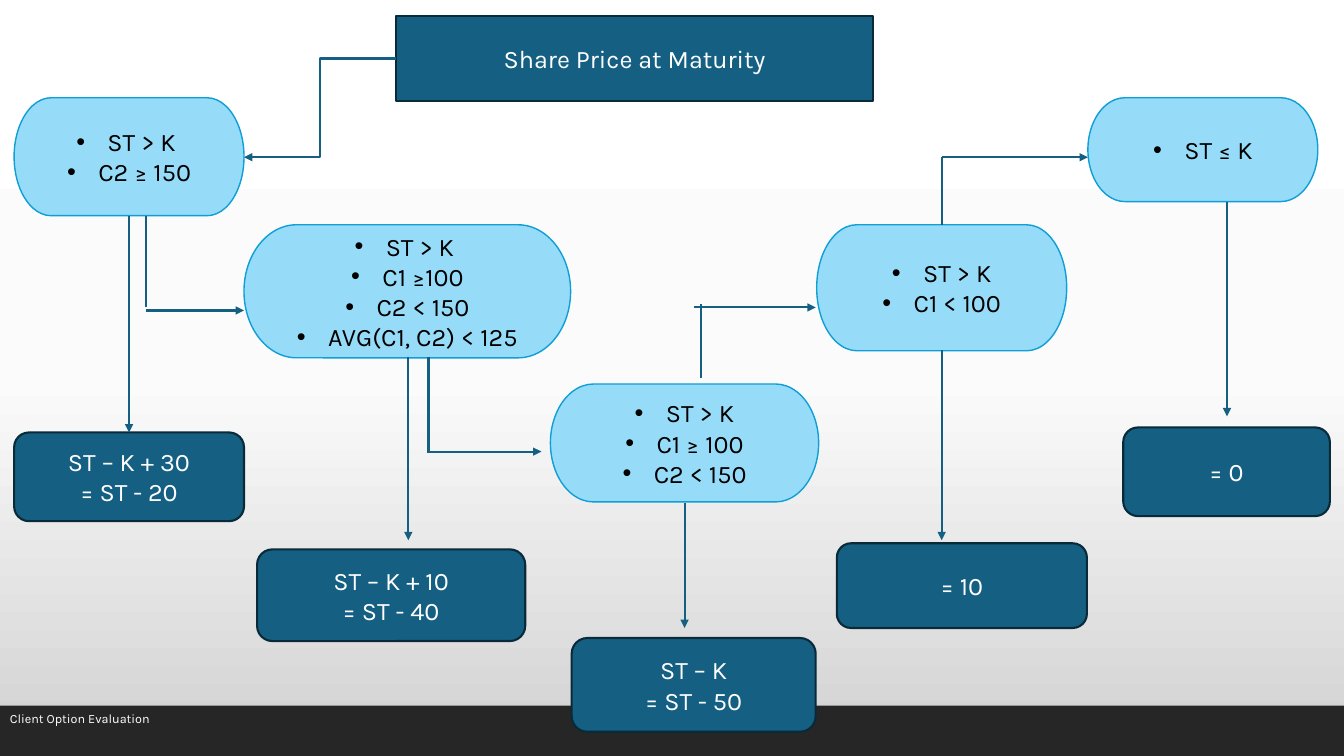
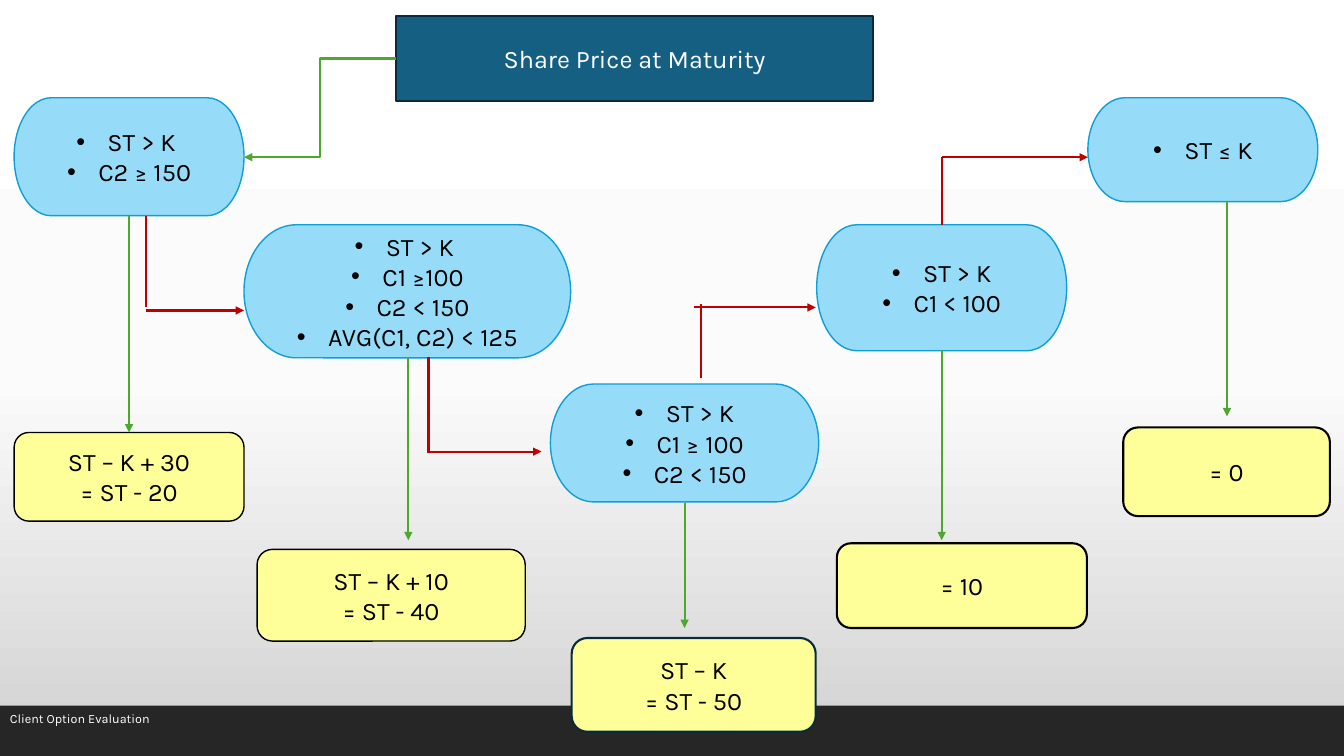
from copy import deepcopy
from dataclasses import dataclass

from lxml.etree import SubElement
from pptx import Presentation
from pptx.dml.color import RGBColor
from pptx.enum.shapes import MSO_CONNECTOR, MSO_SHAPE
from pptx.enum.text import MSO_ANCHOR, MSO_AUTO_SIZE, PP_ALIGN
from pptx.oxml.ns import qn
from pptx.util import Pt

EMU_PER_PX = 9144  # 100 px to the inch
SLIDE_W, SLIDE_H = 1333, 750
FONT = "Karla"

WHITE = RGBColor(0xFF, 0xFF, 0xFF)
OFF_WHITE = RGBColor(0xFB, 0xFB, 0xFB)
GREY = RGBColor(0xD1, 0xD1, 0xD1)
CHARCOAL = RGBColor(0x26, 0x26, 0x26)
BLACK = RGBColor(0x00, 0x00, 0x00)
TEAL = RGBColor(0x15, 0x60, 0x82)
NAVY = RGBColor(0x09, 0x2A, 0x39)
SKY = RGBColor(0x96, 0xDC, 0xF8)
BLUE = RGBColor(0x0F, 0x9E, 0xD5)
YELLOW = RGBColor(0xFF, 0xFF, 0x99)
GREEN = RGBColor(0x4E, 0xA7, 0x2E)
RED = RGBColor(0xC0, 0x00, 0x00)

ALTERNATE = MSO_SHAPE.FLOWCHART_ALTERNATE_PROCESS
ROUNDED = MSO_SHAPE.ROUNDED_RECTANGLE


@dataclass
class Palette:
    """Colours that differ between the two versions of the tree."""
    yes: RGBColor
    no: RGBColor
    payoff_fill: RGBColor
    payoff_text: RGBColor
    payoff_outlines: list


@dataclass
class Step:
    """One test of the tree, its payoff and the arrow between them."""
    conditions: list
    test_box: tuple
    payoff: list
    payoff_box: tuple
    arrow: tuple
    payoff_shape: MSO_SHAPE = ALTERNATE


def px(length):
    return length * EMU_PER_PX


class Deck:
    def __init__(self):
        self.prs = Presentation()
        self.prs.slide_width, self.prs.slide_height = px(SLIDE_W), px(SLIDE_H)
        self.slide = None
        self.set_background()

    def set_background(self):
        """Give the master a three-stop gradient from top to bottom."""
        master = self.prs.slide_master
        fill = master.background.fill
        fill.gradient()
        fill.gradient_angle = 270
        stops = master.element.find(".//" + qn("a:gsLst"))
        stops.insert(1, deepcopy(stops[0]))
        for stop, color, position in zip(
                fill.gradient_stops, (WHITE, OFF_WHITE, GREY), (0, 0.5, 1)):
            stop.color.rgb = color
            stop.position = position

    def new_slide(self, title, footer):
        self.slide = self.prs.slides.add_slide(self.prs.slide_layouts[5])
        self.footer_band(footer)
        self.title_box(title)

    def footer_band(self, text):
        band = self.shape(MSO_SHAPE.RECTANGLE, (0, 700, SLIDE_W, 50), CHARCOAL)
        self.set_text(band, [text], WHITE, 9, PP_ALIGN.LEFT, MSO_ANCHOR.TOP)

    def title_box(self, text):
        title = self.slide.shapes.title
        title.left, title.top, title.width, title.height = map(
            px, (393, 16, 473, 84))
        self.paint(title, TEAL, (NAVY, 1.5))
        self.set_text(title, [text], WHITE)

    def paint(self, shape, fill, outline=None):
        shape.fill.solid()
        shape.fill.fore_color.rgb = fill
        if outline:
            color, width = outline
            shape.line.color.rgb = color
            shape.line.width = Pt(width)
        else:
            shape.line.fill.background()

    def shape(self, kind, box, fill, outline=None):
        shape = self.slide.shapes.add_shape(kind, *map(px, box))
        shape.shadow.inherit = False
        self.paint(shape, fill, outline)
        return shape

    def set_text(self, shape, lines, color, size=18, align=PP_ALIGN.CENTER,
                 anchor=MSO_ANCHOR.MIDDLE, bullets=False):
        frame = shape.text_frame
        frame.text = "\n".join(lines)
        frame.word_wrap = True
        frame.auto_size = MSO_AUTO_SIZE.NONE
        frame.vertical_anchor = anchor
        for paragraph in frame.paragraphs:
            paragraph.alignment = align
            if bullets:
                self.bullet(paragraph)
            for run in paragraph.runs:
                run.font.name = FONT
                run.font.size = Pt(size)
                run.font.color.rgb = color

    def bullet(self, paragraph):
        props = paragraph._p.get_or_add_pPr()
        props.set("marL", str(px(31)))
        props.set("indent", str(-px(31)))
        SubElement(props, qn("a:buFont")).set("typeface", "Arial")
        SubElement(props, qn("a:buChar")).set("char", "•")

    def test(self, box, conditions):
        terminator = self.shape(
            MSO_SHAPE.FLOWCHART_TERMINATOR, box, SKY, (BLUE, 1))
        self.set_text(terminator, conditions, BLACK, bullets=True)

    def payoff(self, step, palette, outline):
        result = self.shape(
            step.payoff_shape, step.payoff_box, palette.payoff_fill, outline)
        self.set_text(result, step.payoff, palette.payoff_text)

    def line(self, points, color, arrow=True, kind=MSO_CONNECTOR.STRAIGHT):
        link = self.slide.shapes.add_connector(kind, *map(px, points))
        link.line.color.rgb = color
        link.line.width = Pt(1.5)
        if arrow:
            head = SubElement(link.line._get_or_add_ln(), qn("a:tailEnd"))
            head.set("type", "triangle")
        SubElement(link._element.spPr, qn("a:effectLst"))


# Content of the tree, from left to right
STEPS = [
    Step(["ST > K ", "C2 ≥ 150"], (14, 97, 228, 117),
         ["ST – K + 30", "= ST - 20"], (14, 429, 228, 88),
         (128, 214, 128, 429)),
    Step(["ST > K ", "C1 ≥100", "C2 < 150", "AVG(C1, C2) < 125"],
         (242, 223, 324, 132),
         ["ST – K + 10", "= ST - 40"], (255, 545, 266, 91),
         (405, 354, 405, 536)),
    Step(["ST > K", "C1 ≥ 100", "C2 < 150"], (546, 381, 266, 117),
         ["ST – K", "= ST - 50"], (567, 633, 242, 93),
         (679, 499, 679, 623)),
    Step(["ST > K", "C1 < 100"], (810, 223, 248, 125),
         ["= 10"], (830, 539, 248, 84),
         (934, 347, 934, 536), ROUNDED),
    Step(["ST ≤ K"], (1079, 97, 228, 103),
         ["= 0"], (1114, 424, 205, 88),
         (1217, 200, 1217, 413)),
]

# Each failed test leads on by a plain stem and then an arrow
NO_BRANCHES = [
    ((145, 214, 145, 305), (145, 308, 242, 308)),
    ((425, 354, 425, 449), (425, 448, 537, 448)),
    ((695, 375, 695, 302), (688, 305, 809, 305)),
    ((934, 223, 934, 156), (934, 156, 1079, 156)),
]

PALETTES = [
    Palette(TEAL, TEAL, TEAL, WHITE, [(NAVY, 1.5)] * 5),
    Palette(GREEN, RED, YELLOW, BLACK,
            [(BLACK, 1)] * 2 + [(NAVY, 1.5)] + [(BLACK, 1.5)] * 2),
]


def draw_tree(deck, palette):
    # Tests and payoffs
    for step, outline in zip(STEPS, palette.payoff_outlines):
        deck.test(step.test_box, step.conditions)
        deck.payoff(step, palette, outline)

    # Entry to the first test and arrows to the payoffs
    deck.line((393, 58, 242, 156), palette.yes, kind=MSO_CONNECTOR.ELBOW)
    for step in STEPS:
        deck.line(step.arrow, palette.yes)

    # Branches to the next test
    for stem, arrow in NO_BRANCHES:
        deck.line(stem, palette.no, arrow=False)
        deck.line(arrow, palette.no)


def main():
    deck = Deck()
    for palette in PALETTES:
        deck.new_slide("Share Price at Maturity", "Client Option Evaluation")
        draw_tree(deck, palette)
    deck.prs.save("out.pptx")


if __name__ == "__main__":
    main()
